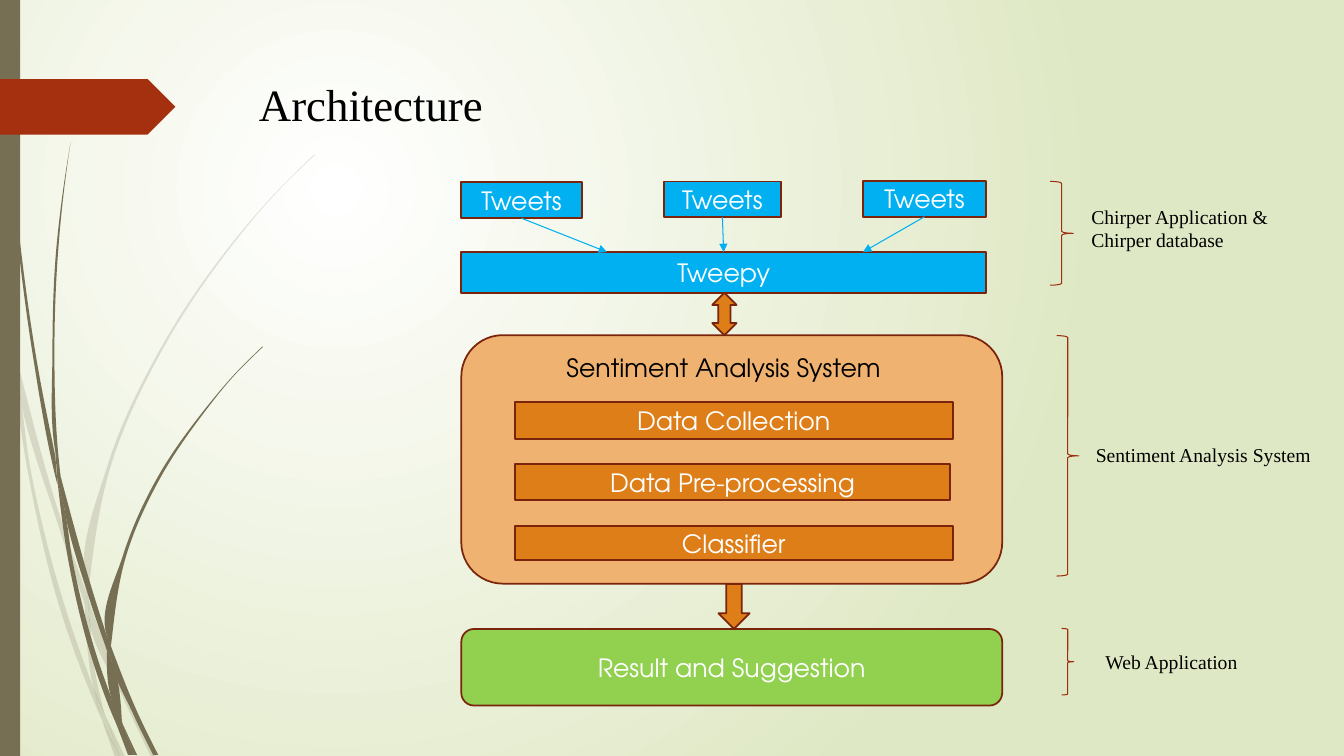
from math import dist

from pptx import Presentation
from pptx.dml.color import RGBColor
from pptx.enum.shapes import MSO_CONNECTOR, MSO_SHAPE
from pptx.enum.text import MSO_ANCHOR, PP_ALIGN
from pptx.oxml import parse_xml
from pptx.oxml.ns import nsdecls, qn
from pptx.oxml.xmlchemy import OxmlElement
from pptx.util import Inches, Pt

RECT, ROUND, TAG = MSO_SHAPE.RECTANGLE, MSO_SHAPE.ROUNDED_RECTANGLE, MSO_SHAPE.PENTAGON
DOWN, UP_DOWN, BRACE = MSO_SHAPE.DOWN_ARROW, MSO_SHAPE.UP_DOWN_ARROW, MSO_SHAPE.RIGHT_BRACE
STRAIGHT = MSO_CONNECTOR.STRAIGHT
LEFT, CENTER = PP_ALIGN.LEFT, PP_ALIGN.CENTER
TOP, MIDDLE = MSO_ANCHOR.TOP, MSO_ANCHOR.MIDDLE
CELL = Inches(0.1)

THEME = {
    "glow": "FFFFFF", "edge": "DFE8C4", "stalk": "766F54", "tag": "A53010",
    "sky": "00B0F0", "sand": "F0B270", "amber": "DE7E18", "leaf": "92D050",
    "outline": "7A240C", "brace": "9E2E0F", "light": "FFFFFF", "dark": "000000",
    "serif": "Times New Roman", "sans": "TeX Gyre Adventor",
    "title": 32, "body": 18, "note": 14, "border": 1.25, "hairline": 0.75,
}
COLOR = {name: RGBColor.from_string(value) for name, value in THEME.items()
         if isinstance(value, str) and len(value) == 6}


def write(shape, text, font="sans", size="body", color="light", align=CENTER, anchor=MIDDLE, wrap=True):
    frame = shape.text_frame
    frame.word_wrap = wrap
    frame.vertical_anchor = anchor
    frame.text = text
    for para in frame.paragraphs:
        para.alignment = align
        for span in para.runs:
            span.font.name = THEME[font]
            span.font.size = Pt(THEME[size])
            span.font.color.rgb = COLOR[color]


def bend(knots):
    gaps = [dist(a, b) for a, b in zip(knots, knots[1:])]
    chords = [complex(b[0] - a[0], b[1] - a[1]) / gap for a, b, gap in zip(knots, knots[1:], gaps)]
    inner = [(chords[i] * gaps[i + 1] + chords[i + 1] * gaps[i]) / (gaps[i] + gaps[i + 1])
             for i in range(len(gaps) - 1)]
    first = 1.5 * chords[0] - 0.5 * inner[0] if inner else chords[0]
    last = 1.5 * chords[-1] - 0.5 * inner[-1] if inner else chords[-1]
    slopes = [first, *inner, last]
    points = [complex(*knot) for knot in knots]
    return [(points[i] + slopes[i] * gap / 3, points[i + 1] - slopes[i + 1] * gap / 3, points[i + 1])
            for i, gap in enumerate(gaps)]


deck = Presentation()
deck.slide_width, deck.slide_height = Inches(13.33), Inches(7.5)
page = deck.slides.add_slide(deck.slide_layouts[6])

backdrop = page.background.fill
backdrop.gradient()
for stop, name in zip(backdrop.gradient_stops, ("glow", "edge")):
    stop.color.rgb = COLOR[name]
gradient = page.element.find(".//" + qn("a:gradFill"))
gradient.remove(gradient.find(qn("a:lin")))
gradient.append(parse_xml(
    f'<a:path {nsdecls("a")} path="circle">'
    '<a:fillToRect l="50000" t="50000" r="100000" b="100000"/></a:path>'))

PALE_STALKS = [
    ([(1.1, 35), (0.9, 32.2), (0, 28.2)], [(0, 29.9), (1, 34.4), (1.1, 35)]),
    ([(1.4, 34.5), (1.7, 37.6), (5.8, 52.2), (8.4, 59.9)], [(8.5, 58.6), (6.2, 52), (1.4, 34.5)]),
    ([(8.8, 59.6), (8.8, 61), (12.3, 69.4), (15, 75.1)], [(15.5, 75.1), (12.7, 69.2), (9.2, 60.7), (8.8, 59.6)]),
    ([(10.5, 71.1), (11.9, 75.1)], [(12.4, 75.1), (10.5, 71.1)]),
    ([(9.3, 68.3), (7, 61.9), (3.1, 46.9), (1.7, 37.6), (1.1, 35)],
     [(1.1, 35), (2.8, 47), (6.5, 62.1), (9.2, 69.3), (10.1, 71.4)]),
    ([(8.4, 59.9), (8.7, 64.6), (9.3, 68.3), (10.5, 71.1)], [(10.3, 70.6), (9.1, 64.6), (8.8, 61), (8.4, 59.9)]),
    ([(8.8, 58.4), (11, 46.2), (16, 34.9), (22.9, 24.5), (26.8, 19.8), (31.2, 15.4)],
     [(31.2, 15.3), (26.8, 19.7), (22.8, 24.4), (15.8, 34.8), (10.7, 46.1), (8.5, 58.4), (8.8, 59.6)]),
    ([(10.1, 71.4), (11.4, 75.1)], [(11.9, 75.1), (10.1, 71.4)]),
    ([(8.8, 61), (8.8, 59.6), (8.5, 58.6)], [(8.4, 59.9), (8.8, 60.8)]),
    ([(9.3, 68.3), (9.9, 70.7), (11.9, 75.1)], [(11.9, 75.1), (10.5, 71.1), (9.3, 68.3)]),
]
DARK_STALKS = [
    ([(0.3, 0), (0.4, 4.8), (0.7, 11), (1.7, 23.3), (3.3, 35.5), (5.6, 47.7), (5.7, 48.1)],
     [(5.5, 45.3), (3.6, 35.5), (1.9, 23.2), (0.8, 10.9), (0.5, 4.8), (0.4, 0)]),
    ([(6, 47.2), (6.4, 50.5), (8.8, 59.2), (10.6, 64.5)], [(10.6, 63.1), (9.3, 59), (6, 47.2)]),
    ([(11, 64.1), (11.1, 65.6), (13.2, 70.8), (15.2, 74.9)], [(15.7, 74.9), (13.6, 70.6), (11.3, 64.9), (11, 64.1)]),
    ([(11, 69.1), (9.8, 65.7), (7.2, 55.6), (6.4, 50.5), (5.7, 47.7)],
     [(5.7, 47.7), (6.8, 55.7), (9.3, 65.9), (11.1, 70.8), (11.7, 72.2)]),
    ([(6, 47.2), (5.8, 45.3), (5.4, 34.9), (5.8, 24.5), (6.3, 19.3), (7, 14.1)],
     [(7, 14.1), (6.2, 19.3), (5.6, 24.5), (5.2, 34.9), (5.5, 44.9), (6, 47.2)]),
    ([(12.2, 71.9), (13.3, 74.9)], [(13.6, 74.9), (12.2, 71.9)]),
    ([(5.7, 47.7), (6.4, 50.5)], [(6.4, 50.5), (6, 47.2), (5.5, 44.9)]),
    ([(11.1, 63.3), (12.5, 55.2), (15.8, 47.6), (20.5, 40.6), (23.1, 37.4), (26.1, 34.4)],
     [(26, 34.4), (23.1, 37.3), (20.4, 40.5), (15.6, 47.4), (12.2, 55.1), (10.6, 63.1), (11, 64.1)]),
    ([(11.7, 72.2), (12.7, 74.9)], [(13.1, 74.9), (11.7, 72.2)]),
    ([(10.6, 64.5), (11, 69.1), (12.2, 71.9)], [(12.1, 71.6), (11.1, 65.6), (10.6, 64.5)]),
    ([(10.6, 64.5), (11.1, 65.6)], [(11.1, 65.6), (11, 64.1), (10.6, 63.1)]),
    ([(11, 69.1), (11.7, 72.2), (13, 74.9)], [(13.3, 74.9), (12.2, 71.9), (11, 69.1)]),
]
for opacity, stalks in ((20, PALE_STALKS), (100, DARK_STALKS)):
    for outward, homeward in stalks:
        outline = [(x * 100, y * 100) for x, y in outward + homeward]
        corner = complex(min(x for x, y in outline), min(y for x, y in outline))
        builder = page.shapes.build_freeform(*outline[0], scale=CELL / 100)
        builder.add_line_segments(outline[1:], close=True)
        stalk = builder.convert_to_shape()
        stalk.shadow.inherit = False
        stalk.line.fill.background()
        stalk.fill.solid()
        stalk.fill.fore_color.rgb = COLOR["stalk"]
        if opacity < 100:
            alpha = OxmlElement("a:alpha")
            alpha.set("val", str(opacity * 1000))
            stalk.element.spPr.find(qn("a:solidFill"))[0].append(alpha)
        sides = list(stalk.element.iter(qn("a:lnTo")))
        for side, curve in zip(sides, bend(outward) + [None] + bend(homeward)):
            if curve:
                spots = [point * 100 - corner for point in curve]
                marks = "".join(f'<a:pt x="{round(s.real)}" y="{round(s.imag)}"/>' for s in spots)
                side.getparent().replace(
                    side, parse_xml(f'<a:cubicBezTo {nsdecls("a")}>{marks}</a:cubicBezTo>'))

BLOCKS = [
    (RECT, 0, 0, 2, 75, "stalk", None, ""),
    (TAG, 0, 7.85, 17.4, 5.5, "tag", None, ""),
    (RECT, 45.75, 18.05, 11.95, 3.6, "sky", "outline", "Tweets"),
    (RECT, 65.85, 18, 11.6, 3.55, "sky", "outline", "Tweets"),
    (RECT, 85.6, 17.95, 12.2, 3.55, "sky", "outline", "Tweets"),
    (RECT, 45.75, 25, 52.05, 4.05, "sky", "outline", "Tweepy"),
    (ROUND, 45.75, 33.25, 53.65, 24.65, "sand", "outline", ""),
    (ROUND, 45.75, 62.4, 53.65, 7.6, "leaf", "outline", "Result and Suggestion"),
    (RECT, 51.05, 39.9, 43.45, 3.65, "amber", "outline", "Data Collection"),
    (RECT, 51.05, 46.05, 43.2, 3.55, "amber", "outline", "Data Pre-processing"),
    (RECT, 51.05, 52.2, 43.45, 3.35, "amber", "outline", "Classifier"),
    (DOWN, 71.25, 57.95, 3.1, 4.45, "amber", "outline", ""),
    (UP_DOWN, 70.65, 29.05, 2.4, 4.2, "amber", "outline", ""),
    (BRACE, 104.15, 18, 2.3, 10.3, None, "brace", ""),
    (BRACE, 104.8, 33.3, 2.2, 23.85, None, "brace", ""),
    (BRACE, 105.3, 62.35, 1.2, 6.6, None, "brace", ""),
]
sources = []
for kind, column, row, columns, rows, fill, border, text in BLOCKS:
    box = page.shapes.add_shape(kind, *(int(n * CELL) for n in (column, row, columns, rows)))
    box.shadow.inherit = False
    if fill:
        box.fill.solid()
        box.fill.fore_color.rgb = COLOR[fill]
    else:
        box.fill.background()
    if border:
        box.line.color.rgb = COLOR[border]
        box.line.width = Pt(THEME["hairline" if kind == BRACE else "border"])
    else:
        box.line.fill.background()
    if text:
        write(box, text)
    if text == "Tweets":
        sources.append(box)
    if text == "Tweepy":
        collector = box

for source, target_column in zip(sources, (60.2, 71.9, 85.6)):
    arrow = page.shapes.add_connector(
        STRAIGHT, source.left, source.top, int(target_column * CELL), collector.top)
    arrow.begin_connect(source, 2)
    if source is sources[1]:
        arrow.end_connect(collector, 0)
    arrow.line.color.rgb = COLOR["sky"]
    arrow.line.width = Pt(THEME["hairline"])
    head = OxmlElement("a:tailEnd")
    head.set("type", "triangle")
    arrow.element.spPr.find(qn("a:ln")).append(head)
    arrow.element.spPr.append(OxmlElement("a:effectLst"))

LABELS = [
    (24.7, 7.1, 97.7, 7.8, "Architecture", "serif", "title", True),
    (55.2, 34.5, 34.8, 4, "Sentiment Analysis System", "sans", "body", True),
    (107.25, 19.8, 19.8, 5.7, "Chirper Application &\nChirper database", "serif", "note", False),
    (107.7, 43.4, 23.5, 3.4, "Sentiment Analysis System", "serif", "note", False),
    (108.65, 64, 19.8, 3.4, "Web Application", "serif", "note", True),
]
for column, row, columns, rows, text, font, size, wrap in LABELS:
    label = page.shapes.add_textbox(*(int(n * CELL) for n in (column, row, columns, rows)))
    write(label, text, font=font, size=size, color="dark", align=LEFT, anchor=TOP, wrap=wrap)

deck.save("out.pptx")
